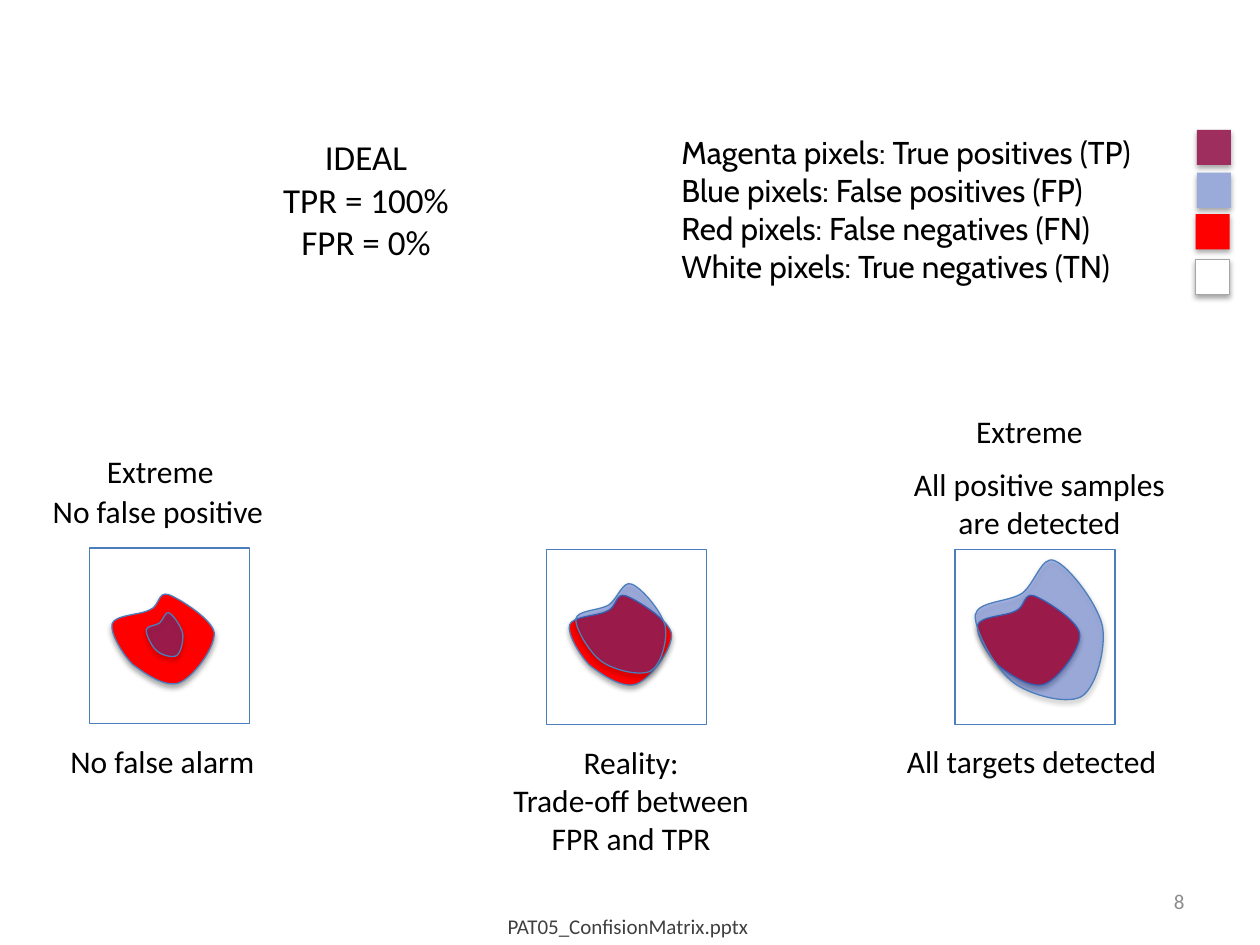
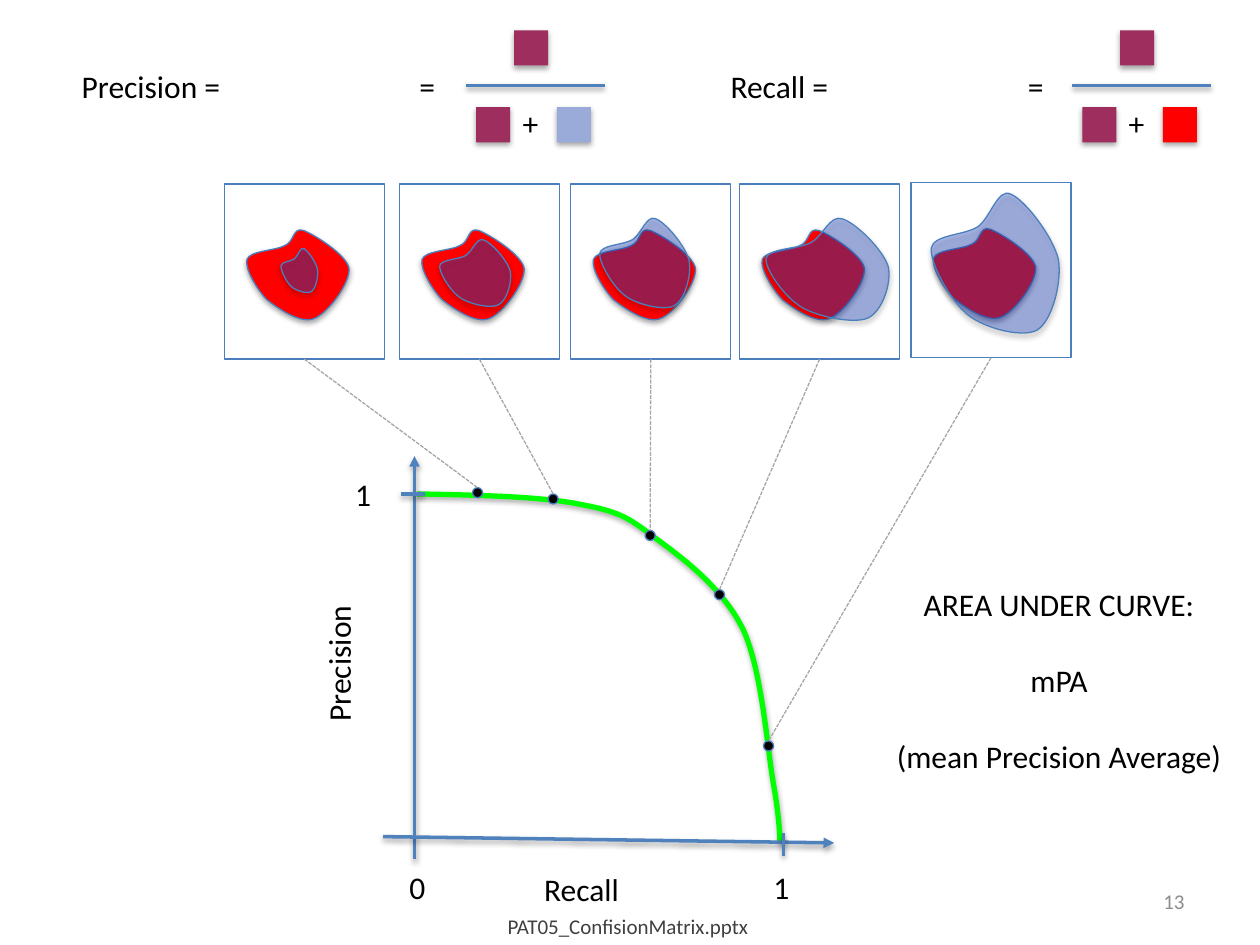
from lxml.etree import Element, SubElement
from pptx import Presentation
from pptx.dml.color import RGBColor
from pptx.enum.dml import MSO_LINE
from pptx.enum.shapes import MSO_CONNECTOR, MSO_SHAPE
from pptx.enum.text import MSO_ANCHOR, MSO_AUTO_SIZE, PP_ALIGN
from pptx.oxml.ns import qn
from pptx.util import Inches, Pt

BLACK, WHITE, GRAY = "000000", "FFFFFF", "A6A6A6"
MAGENTA, PALE_BLUE, RED = "9D2E5D", "9AABDA", "FF0000"
DETECTION_BLUE, OUTLINE, AXIS, CURVE_GREEN = "2249CD", "4B7EBC", "4F81BD", "00FF00"

FRAME_W, FRAME_H = 1.27, 1.39
SWATCH_W, SWATCH_H = 0.27, 0.28
DOT = 0.08

# Outlines: a start point, then cubic segments (control, control, end)
TARGET = [(0.30, 0.12),
          (0.38, 0.09, 0.36, -0.03, 0.45, 0), (0.53, 0.03, 0.79, 0.19, 0.81, 0.30),
          (0.82, 0.42, 0.64, 0.66, 0.53, 0.70), (0.42, 0.74, 0.25, 0.62, 0.16, 0.55),
          (0.08, 0.47, -0.02, 0.30, 0, 0.23), (0.02, 0.16, 0.23, 0.16, 0.30, 0.12)]
DETECTION = [(0.37, 0.27),
             (0.47, 0.20, 0.53, -0.04, 0.63, 0.01), (0.74, 0.05, 0.97, 0.35, 1.01, 0.53),
             (1.04, 0.71, 0.96, 1.02, 0.84, 1.09), (0.71, 1.16, 0.37, 1.06, 0.26, 0.94),
             (0.14, 0.83, -0.01, 0.55, 0, 0.44), (0.02, 0.33, 0.26, 0.34, 0.37, 0.27)]
DETECTION_SIZE = (1.01, 1.11)
PR_CURVE = [(3.31, 3.92),
            (3.79, 3.93, 4.28, 3.94, 4.59, 4.00), (4.91, 4.06, 4.98, 4.10, 5.20, 4.27),
            (5.42, 4.43, 5.74, 4.67, 5.90, 5.00), (6.05, 5.33, 6.09, 5.95, 6.14, 6.23),
            (6.19, 6.51, 6.19, 6.68, 6.19, 6.68)]

# Detected region inside its frame: left, top, width, height
TINY = (0.45, 0.51, 0.29, 0.35)
SMALL = (0.32, 0.44, 0.56, 0.53)
MEDIUM = (0.23, 0.27, 0.71, 0.71)
WIDE = (0.21, 0.27, 0.97, 0.81)
FULL = (0.16, 0.08, 1.01, 1.11)


def rgb(color):
    return RGBColor.from_string(color)


def set_effect(shape, shadow):
    """Replace the theme shadow by a soft drop shadow or by none."""
    effects = SubElement(shape._element.spPr, qn("a:effectLst"))
    if shadow:
        outer = SubElement(effects, qn("a:outerShdw"), blurRad=str(Pt(3.1)),
                           dist=str(Pt(1.8)), dir="5400000", rotWithShape="0")
        black = SubElement(outer, qn("a:srgbClr"), val=BLACK)
        SubElement(black, qn("a:alpha"), val="35000")


def style(shape, fill=None, line=None, width=0.75, shadow=False, alpha=None):
    if fill:
        shape.fill.solid()
        shape.fill.fore_color.rgb = rgb(fill)
        if alpha:
            color = shape._element.spPr.find(qn("a:solidFill"))[0]
            SubElement(color, qn("a:alpha"), val=str(alpha * 1000))
    else:
        shape.fill.background()
    if line:
        shape.line.color.rgb = rgb(line)
        shape.line.width = Pt(width)
    else:
        shape.line.fill.background()
    set_effect(shape, shadow)
    return shape


def add_text(s, x, y, w, h, lines, size=18, font="Calibri", color=BLACK,
             align=PP_ALIGN.LEFT, gap=0, anchor=MSO_ANCHOR.TOP, wrap=False, tabs=()):
    box = s.shapes.add_textbox(Inches(x), Inches(y), Inches(w), Inches(h))
    tf = box.text_frame
    tf.word_wrap = wrap
    tf.auto_size = MSO_AUTO_SIZE.NONE if wrap else MSO_AUTO_SIZE.SHAPE_TO_FIT_TEXT
    tf.vertical_anchor = anchor
    for i, line in enumerate(lines):
        p = tf.add_paragraph() if i else tf.paragraphs[0]
        p.alignment = align
        if i and gap:
            p.space_before = Pt(gap)
        if tabs:
            stops = SubElement(p._p.get_or_add_pPr(), qn("a:tabLst"))
            for stop in tabs:
                SubElement(stops, qn("a:tab"), pos=str(Inches(stop)), algn="l")
        r = p.add_run()
        r.text = line
        r.font.size, r.font.name = Pt(size), font
        r.font.color.rgb = rgb(color)
    return box


def add_preset(s, kind, x, y, w, h, **look):
    sp = s.shapes.add_shape(kind, Inches(x), Inches(y), Inches(w), Inches(h))
    return style(sp, **look)


def add_swatch(s, x, y, fill, line=None):
    add_preset(s, MSO_SHAPE.RECTANGLE, x, y, SWATCH_W, SWATCH_H,
               fill=fill, line=line, shadow=True)


def add_line(s, x1, y1, x2, y2, color=AXIS, width=2, arrow=False, shadow=True):
    c = s.shapes.add_connector(MSO_CONNECTOR.STRAIGHT, Inches(x1), Inches(y1),
                               Inches(x2), Inches(y2))
    c.line.color.rgb = rgb(color)
    c.line.width = Pt(width)
    if arrow:
        SubElement(c.line._get_or_add_ln(), qn("a:tailEnd"), type="triangle")
    set_effect(c, shadow)
    return c


def add_outline(s, outline, x=0, y=0, sx=1, sy=1, close=True, **look):
    """Freeform through the segment ends, with each side bent into a cubic curve."""
    def place(px, py):
        return Inches(x + px * sx), Inches(y + py * sy)

    ends = [place(*segment[-2:]) for segment in outline]
    builder = s.shapes.build_freeform(*ends[0])
    builder.add_line_segments(ends[1:], close=close)
    sp = builder.convert_to_shape()
    sides = sp._element.spPr.findall(".//" + qn("a:lnTo"))
    for side, (x1, y1, x2, y2, _, _) in zip(sides, outline[1:]):
        side.tag = qn("a:cubicBezTo")
        for i, control in enumerate([(x1, y1), (x2, y2)]):
            cx, cy = place(*control)
            side.insert(i, Element(qn("a:pt"), x=str(cx - sp.left), y=str(cy - sp.top)))
    return style(sp, shadow=True, **look)


def add_case(s, x, y, detected):
    """Group of a framed target and its detected region; returns group and frame."""
    group = s.shapes.add_group_shape()
    frame = add_preset(group, MSO_SHAPE.RECTANGLE, x, y, FRAME_W, FRAME_H,
                       fill=WHITE, line=OUTLINE)
    add_outline(group, TARGET, x + 0.18, y + 0.37, fill=RED, line=OUTLINE)
    dx, dy, w, h = detected
    add_outline(group, DETECTION, x + dx, y + dy,
                w / DETECTION_SIZE[0], h / DETECTION_SIZE[1],
                fill=DETECTION_BLUE, alpha=36, line=OUTLINE)
    return group, frame


def add_ratio(s, x, other):
    """Fraction: magenta over magenta plus another colour."""
    add_line(s, x, 0.68, x + 1.1, 0.68)
    add_swatch(s, x + 0.08, 0.85, MAGENTA)
    add_swatch(s, x + 0.72, 0.85, other)
    add_swatch(s, x + 0.38, 0.24, MAGENTA)
    add_text(s, x + 0.35, 0.78, 0.33, 0.4, ["+"])


def add_footer(s, number):
    add_text(s, 7.17, 6.95, 2.33, 0.4, [number], size=12, color="8C8C8C",
             align=PP_ALIGN.RIGHT, anchor=MSO_ANCHOR.MIDDLE, wrap=True)
    add_text(s, 3.93, 7.2, 2.13, 0.3, ["PAT05_ConfisionMatrix.pptx"], size=12, color="404040")


def build_tradeoff(s):
    center = PP_ALIGN.CENTER
    add_text(s, 2.14, 1.03, 1.53, 1.11, ["IDEAL", "TPR = 100%", "FPR = 0%"],
             size=20, align=center)
    add_text(s, 5.31, 1.01, 4.15, 1.31,
             ["Magenta pixels: True positives (TP)", "Blue pixels: False positives (FP)",
              "Red pixels: False negatives (FN)", "White pixels: True negatives (TN)"],
             font="Cabin")
    for x, y, fill, line in [(9.5, 1.03, MAGENTA, None), (9.5, 1.37, PALE_BLUE, None),
                             (9.49, 1.7, RED, None), (9.49, 2.06, WHITE, GRAY)]:
        add_swatch(s, x, y, fill, line)

    for x, y, detected in [(0.71, 4.35, TINY), (4.34, 4.36, MEDIUM), (7.58, 4.36, FULL)]:
        add_case(s, x, y, detected)

    add_text(s, 0.75, 3.54, 1.06, 0.4, ["Extreme"])
    add_text(s, 0.32, 3.86, 1.89, 0.4, ["No false positive"])
    add_text(s, 0.46, 5.84, 1.68, 0.4, ["No false alarm"])
    add_text(s, 3.96, 5.85, 2.1, 1.01, ["Reality:", "Trade-off between", "FPR and TPR"],
             align=center)
    add_text(s, 7.64, 3.22, 1.06, 0.4, ["Extreme"], align=center)
    add_text(s, 7.14, 3.64, 2.22, 0.71, ["All positive samples", "are detected"], align=center)
    add_text(s, 7.1, 5.84, 2.2, 0.4, ["All targets detected"])
    add_footer(s, "8")


def build_precision_recall(s):
    add_outline(s, PR_CURVE, close=False, line=CURVE_GREEN, width=3)

    add_text(s, 0.55, 0.48, 3.18, 0.4, ["Precision =\t="], wrap=True, tabs=[2.68])
    add_ratio(s, 3.7, PALE_BLUE)
    add_text(s, 5.36, 0.48, 3.2, 0.4, ["\tRecall =\t="], wrap=True, tabs=[0.34, 2.7])
    add_ratio(s, 8.51, RED)

    add_line(s, 3.29, 6.82, 3.29, 3.62, arrow=True)
    add_line(s, 3.04, 6.64, 6.62, 6.69, arrow=True)
    add_text(s, 2.12, 5.06, 1.13, 0.4, ["Precision"]).rotation = 270
    add_text(s, 4.22, 6.86, 1.05, 0.4, ["Recall"], wrap=True)
    add_text(s, 3.15, 6.84, 3.29, 0.4, ["0\t1"], wrap=True, tabs=[2.89])
    add_line(s, 6.22, 6.61, 6.22, 6.79)
    add_line(s, 3.37, 3.92, 3.18, 3.92)
    add_text(s, 2.72, 3.72, 0.33, 0.4, ["1"])

    cases = [(7.23, 1.45, FULL, 6.06, 5.88), (1.78, 1.46, TINY, 3.75, 3.87),
             (4.53, 1.46, MEDIUM, 5.12, 4.21), (3.17, 1.46, SMALL, 4.35, 3.92),
             (5.87, 1.46, WIDE, 5.67, 4.68)]
    for x, y, detected, dot_x, dot_y in cases:
        group, frame = add_case(s, x, y, detected)
        dot = add_preset(group, MSO_SHAPE.OVAL, dot_x, dot_y, DOT, DOT,
                         fill=BLACK, line=OUTLINE)
        link = add_line(group, x + FRAME_W / 2, y + FRAME_H, dot_x + DOT / 2, dot_y,
                        color=GRAY, width=0.75, shadow=False)
        link.line.dash_style = MSO_LINE.SQUARE_DOT
        link.begin_connect(frame, 2)
        link.end_connect(dot, 0)

    add_text(s, 7, 4.59, 2.81, 1.62,
             ["AREA UNDER CURVE:", "mPA", "(mean Precision Average)"],
             align=PP_ALIGN.CENTER, gap=22)
    add_footer(s, "13")


def main():
    prs = Presentation()
    prs.slide_width, prs.slide_height = Inches(10), Inches(7.5)
    for build in (build_tradeoff, build_precision_recall):
        build(prs.slides.add_slide(prs.slide_layouts[6]))
    prs.save("out.pptx")


if __name__ == "__main__":
    main()
